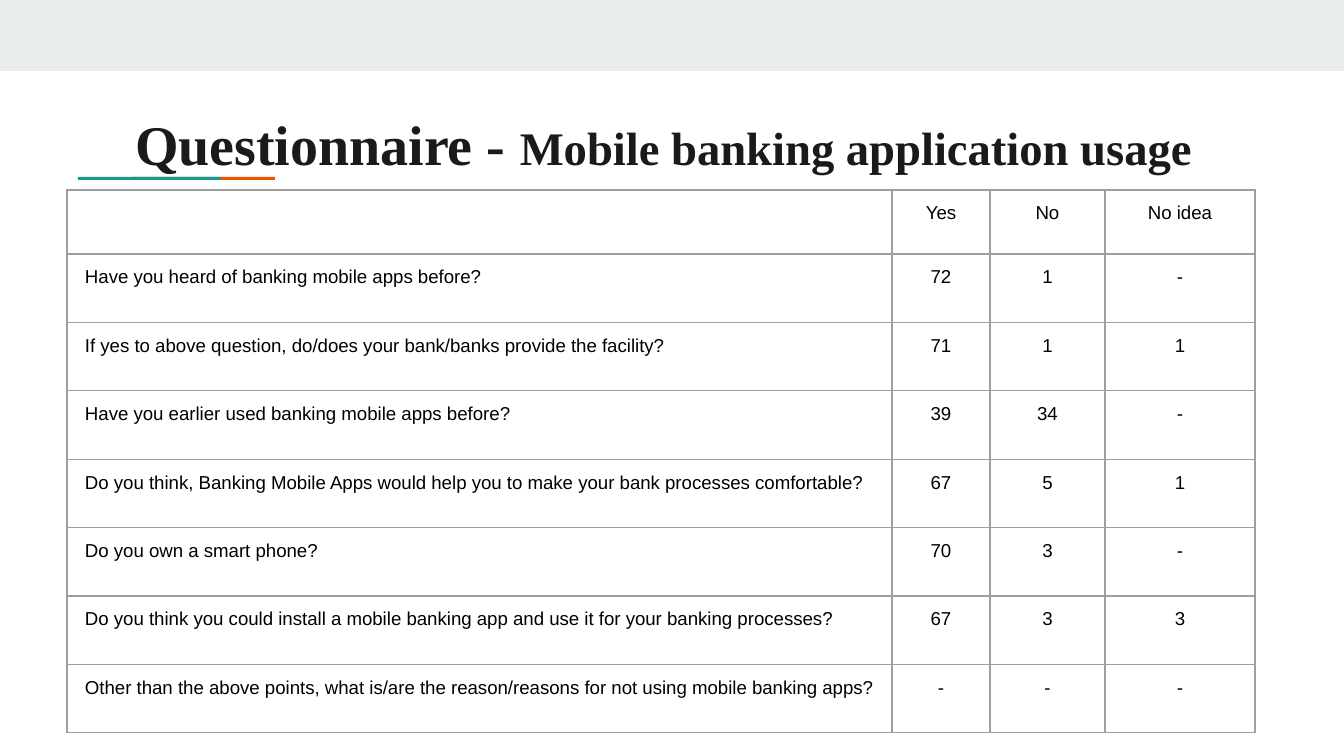
from dataclasses import dataclass

from lxml.etree import SubElement
from pptx import Presentation
from pptx.dml.color import RGBColor
from pptx.enum.shapes import MSO_SHAPE
from pptx.enum.text import MSO_ANCHOR, PP_ALIGN
from pptx.oxml.ns import qn
from pptx.util import Emu, Pt


@dataclass(frozen=True)
class Theme:
    band: str = "E9EDEE"
    green: str = "1A9988"
    orange: str = "EB5600"
    title: str = "1A1A1A"
    text: str = "000000"
    border: str = "9E9E9E"
    title_font: str = "Times New Roman"
    body_font: str = "Arial"
    title_size: int = 30
    subtitle_size: int = 25
    body_size: int = 10
    border_width: float = 0.75


THEME = Theme()
EMU_PER_PX = 914400 / 134.4
PAD = 13
COLUMNS = (825, 98, 115, 150)
HEADER_HEIGHT = 64
ROWS = (
    ("", "Yes", "No", "No idea"),
    ("Have you heard of banking mobile apps before?", "72", "1", "-"),
    ("If yes to above question, do/does your bank/banks provide the facility?", "71", "1", "1"),
    ("Have you earlier used banking mobile apps before?", "39", "34", "-"),
    ("Do you think, Banking Mobile Apps would help you to make your bank processes comfortable?", "67", "5", "1"),
    ("Do you own a smart phone?", "70", "3", "-"),
    ("Do you think you could install a mobile banking app and use it for your banking processes?", "67", "3", "3"),
    ("Other than the above points, what is/are the reason/reasons for not using mobile banking apps?", "-", "-", "-"),
)


def px(n):
    return Emu(round(n * EMU_PER_PX))


def rgb(color):
    return RGBColor.from_string(color)


def add_bar(s, x, y, w, h, color):
    sp = s.shapes.add_shape(MSO_SHAPE.RECTANGLE, px(x), px(y), px(w), px(h))
    sp.shadow.inherit = False
    sp.fill.solid()
    sp.fill.fore_color.rgb = rgb(color)
    sp.line.fill.background()


def add_accent(s, x, y, w, h):
    offset = 54
    add_bar(s, x + offset, y, w - offset, h, THEME.orange)
    add_bar(s, x, y, w - offset, h, THEME.green)


def add_title(s, x, y, w, h):
    sp = s.shapes.title
    sp.left, sp.top, sp.width, sp.height = px(x), px(y), px(w), px(h)
    tf = sp.text_frame
    tf.word_wrap = True
    tf.vertical_anchor = MSO_ANCHOR.TOP
    tf.margin_left = tf.margin_right = tf.margin_top = tf.margin_bottom = px(PAD)
    p = tf.paragraphs[0]
    p.alignment = PP_ALIGN.LEFT
    p.line_spacing = 1.0
    p.font.name = THEME.title_font
    p.font.bold = True
    p.font.color.rgb = rgb(THEME.title)
    for text, size in (
        ("Questionnaire - ", THEME.title_size),
        ("Mobile banking application usage", THEME.subtitle_size),
    ):
        r = p.add_run()
        r.text = text
        r.font.size = Pt(size)


def set_borders(cell):
    tc_pr = cell._tc.get_or_add_tcPr()
    for side in ("a:lnL", "a:lnR", "a:lnT", "a:lnB"):
        ln = SubElement(tc_pr, qn(side), w=str(Pt(THEME.border_width)))
        fill = SubElement(ln, qn("a:solidFill"))
        SubElement(fill, qn("a:srgbClr"), val=THEME.border)


def fill_cell(cell, text, is_question):
    set_borders(cell)
    cell.fill.background()
    cell.margin_left = px(PAD + 5 if is_question else PAD)
    cell.margin_right = cell.margin_top = cell.margin_bottom = px(PAD)
    cell.vertical_anchor = MSO_ANCHOR.TOP
    p = cell.text_frame.paragraphs[0]
    p.alignment = PP_ALIGN.LEFT if is_question else PP_ALIGN.CENTER
    p.font.name = THEME.body_font
    p.font.size = Pt(THEME.body_size)
    p.font.color.rgb = rgb(THEME.text)
    if text:
        p.add_run().text = text


def add_answers(s, x, y, w, h):
    table = s.shapes.add_table(len(ROWS), len(COLUMNS), px(x), px(y), px(w), px(h)).table
    table.first_row = False
    table.horz_banding = False
    for column, width in zip(table.columns, COLUMNS):
        column.width = px(width)
    row_height = (h - HEADER_HEIGHT) / (len(ROWS) - 1)
    for i, values in enumerate(ROWS):
        table.rows[i].height = px(row_height if i else HEADER_HEIGHT)
        for j, text in enumerate(values):
            fill_cell(table.cell(i, j), text, j == 0)


def main():
    prs = Presentation()
    prs.slide_width, prs.slide_height = px(1344), px(756)
    s = prs.slides.add_slide(prs.slide_layouts[5])
    add_bar(s, 0, 0, 1344, 71, THEME.band)
    add_accent(s, 78, 177, 197, 3)
    add_title(s, 122, 97, 1131, 79)
    add_answers(s, 67, 190, sum(COLUMNS), 543)
    prs.save("out.pptx")


if __name__ == "__main__":
    main()
